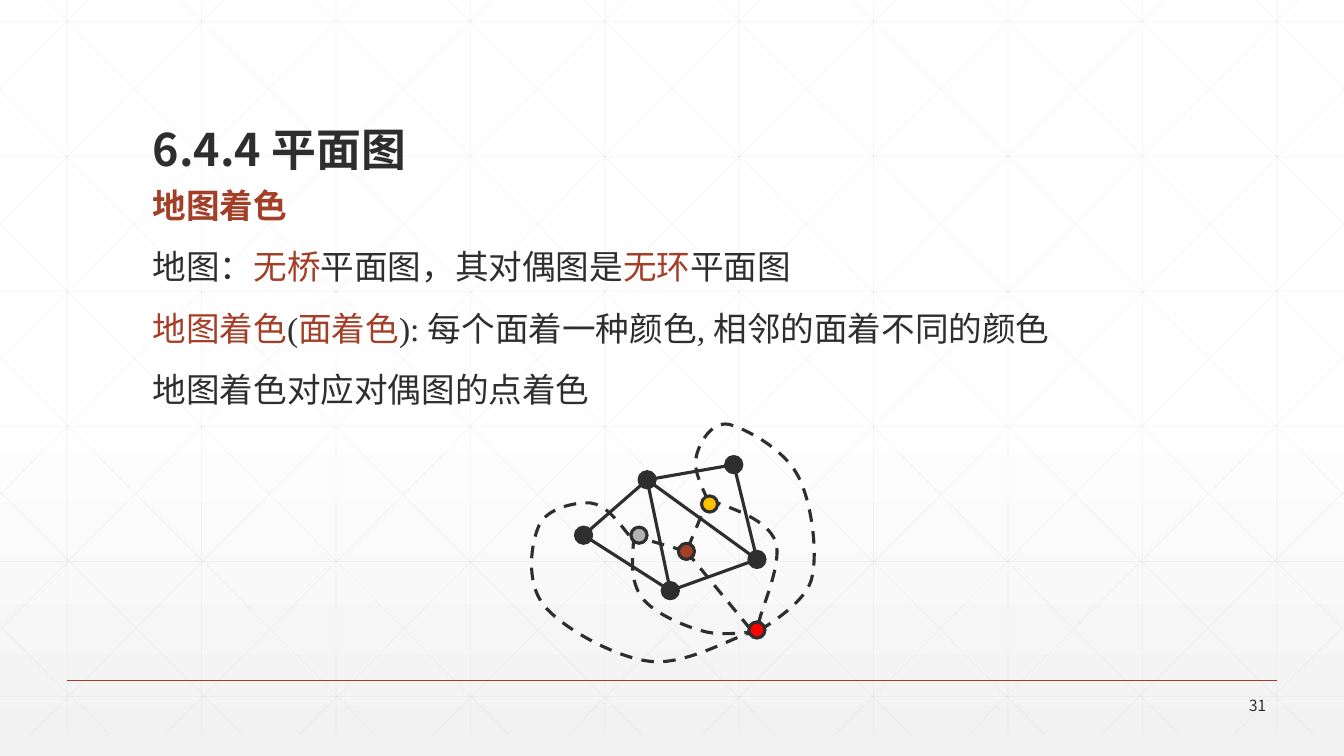
from lxml import etree
from pptx import Presentation
from pptx.dml.color import RGBColor
from pptx.enum.dml import MSO_LINE
from pptx.enum.shapes import MSO_CONNECTOR, MSO_SHAPE
from pptx.enum.text import MSO_ANCHOR, PP_ALIGN
from pptx.oxml import parse_xml
from pptx.oxml.ns import nsdecls, qn
from pptx.util import Inches, Pt

INK, RUST, PALE = "2D2E2D", "A43F27", "D9D9D9"
SANS, SERIF = "Noto Sans CJK SC", "Times New Roman"
WIDTH, TOP, BOTTOM = 40 / 3, -0.21, 7.29
STEP = 4 / 3
MARGIN = 17 / 12

VERTICES = {"top": (6.42, 4.76), "peak": (7.28, 4.61), "left": (5.79, 5.31),
            "bottom": (6.65, 5.86), "right": (7.51, 5.55)}
EDGES = [("top", "left"), ("top", "bottom"), ("left", "bottom"), ("top", "peak"),
         ("peak", "right"), ("bottom", "right"), ("top", "right")]
FACES = [(7.04, 5.0, "FFC000"), (6.81, 5.47, RUST), (6.34, 5.31, "B2B2B2"),
         (7.51, 6.25, "FF0000")]
DUAL_LINES = [((7.04, 4.92), (6.81, 5.47)), ((6.26, 5.31), (6.81, 5.47)),
              ((6.81, 5.47), (7.46, 6.26))]
DUAL_CURVES = [
    [(7.03, 4.96), (7.32, 5.06), (7.6, 5.16), (7.69, 5.36), (7.77, 5.55),
     (7.58, 5.98), (7.54, 6.13), (7.51, 6.28), (7.46, 6.26), (7.46, 6.26)],
    [(6.29, 5.32), (6.27, 5.55), (6.25, 5.77), (6.37, 5.93), (6.48, 6.08),
     (6.78, 6.21), (6.97, 6.26), (7.16, 6.32), (7.53, 6.26), (7.53, 6.26)],
    [(7.02, 4.96), (6.95, 4.8), (6.87, 4.64), (6.91, 4.52), (6.94, 4.39),
     (7.06, 4.18), (7.23, 4.21), (7.39, 4.25), (7.77, 4.45), (7.91, 4.71),
     (8.05, 4.96), (8.12, 5.49), (8.05, 5.75), (7.98, 6.01), (7.49, 6.28),
     (7.49, 6.28), (7.51, 6.28)],
    [(6.24, 5.31), (6.12, 5.16), (6.01, 5.01), (5.86, 4.99), (5.71, 4.98),
     (5.43, 5.04), (5.35, 5.21), (5.27, 5.38), (5.21, 5.78), (5.4, 6.01),
     (5.58, 6.23), (6.1, 6.52), (6.44, 6.56), (6.79, 6.61), (7.28, 6.32),
     (7.44, 6.28), (7.61, 6.23), (7.51, 6.26), (7.41, 6.29)],
]
BODY = [
    [("地图着色", RUST, True)],
    [("地图：", INK, False), ("无桥", RUST, False), ("平面图，其对偶图是", INK, False),
     ("无环", RUST, False), ("平面图", INK, False)],
    [("地图着色", RUST, False), ("(", INK, False), ("面着色", RUST, False),
     ("): 每个面着一种颜色, 相邻的面着不同的颜色", INK, False)],
    [("地图着色对应对偶图的点着色", INK, False)],
]


def rgb(value):
    return RGBColor.from_string(value)


def style_line(line, color, width, dashed=False):
    line.color.rgb = rgb(color)
    line.width = Pt(width)
    if dashed:
        line.dash_style = MSO_LINE.DASH


def add_line(shapes, start, end, color=INK, width=2.25, dashed=False, alpha=None):
    c = shapes.add_connector(MSO_CONNECTOR.STRAIGHT, *map(Inches, start + end))
    style_line(c.line, color, width, dashed)
    sp_pr = c._element.spPr
    if alpha:
        clr = sp_pr.find(".//" + qn("a:srgbClr"))
        etree.SubElement(clr, qn("a:alpha")).set("val", str(alpha * 1000))
    etree.SubElement(sp_pr, qn("a:effectLst"))


def add_dot(shapes, x, y, color, size=0.16):
    sp = shapes.add_shape(MSO_SHAPE.OVAL, Inches(x - size / 2), Inches(y - size / 2),
                          Inches(size), Inches(size))
    sp.shadow.inherit = False
    sp.fill.solid()
    sp.fill.fore_color.rgb = rgb(color)
    style_line(sp.line, INK, 2.25)


def add_curve(shapes, points):
    builder = shapes.build_freeform(*map(Inches, points[0]))
    builder.add_line_segments([tuple(map(Inches, pt)) for pt in points[1:]], close=False)
    sp = builder.convert_to_shape()
    segments = list(sp._element.iter(qn("a:lnTo")))
    for i in range(0, len(segments) - 2, 3):
        first, *others = segments[i:i + 3]
        first.tag = qn("a:cubicBezTo")
        for segment in others:
            first.append(segment[0])
            segment.getparent().remove(segment)
    sp.shadow.inherit = False
    sp.fill.background()
    style_line(sp.line, INK, 2.25, dashed=True)


def add_text(s, box, paragraphs, size, font, anchor=MSO_ANCHOR.TOP,
             align=PP_ALIGN.LEFT, spacing=0.9, before=0, hanging=0):
    tf = s.shapes.add_textbox(*map(Inches, box)).text_frame
    tf.word_wrap = True
    tf.vertical_anchor = anchor
    for i, runs in enumerate(paragraphs):
        p = tf.paragraphs[0] if i == 0 else tf.add_paragraph()
        p.alignment = align
        p.line_spacing = spacing
        if i:
            p.space_before = Pt(before)
        if hanging:
            p_pr = p._p.get_or_add_pPr()
            p_pr.set("marL", str(Inches(hanging)))
            p_pr.set("indent", str(Inches(-hanging)))
        for text, color, bold in runs:
            r = p.add_run()
            r.text = text
            r.font.size = Pt(size)
            r.font.bold = bold
            r.font.color.rgb = rgb(color)
            r.font.name = font
            etree.SubElement(r._r.get_or_add_rPr(), qn("a:ea")).set("typeface", SANS)


def set_background(s):
    stops = "".join(f'<a:gs pos="{pos * 1000}"><a:srgbClr val="{color}"/></a:gs>'
                    for pos, color in ((0, "FFFFFF"), (53, "FFFFFF"), (100, "F2F2F2")))
    s.background.fill.solid()
    solid = s._element.find(".//" + qn("p:bgPr") + "/" + qn("a:solidFill"))
    solid.getparent().replace(solid, parse_xml(
        f'<a:gradFill {nsdecls("a")} rotWithShape="1"><a:gsLst>{stops}</a:gsLst>'
        '<a:lin ang="5400000" scaled="0"/></a:gradFill>'))


def add_grid(s):
    shapes = s.shapes.add_group_shape().shapes
    lines = [((x, TOP), (x, BOTTOM)) for x in (STEP * (k + 0.5) for k in range(10))]
    lines += [((0, y), (WIDTH, y)) for y in (0.21 + 1.34 * k for k in range(6))]
    diagonals = []
    for k in range(10):
        x = 0.25 + STEP * k
        run = min(7.45, WIDTH - x)
        diagonals.append(((x, TOP), (x + run, TOP + run * 7.5 / 7.45)))
    diagonals += [((0, 0.89 + 1.33 * k), (6.37 - 1.32 * k, BOTTOM)) for k in range(5)]
    for (x1, y1), (x2, y2) in diagonals:
        lines += [((x1, y1), (x2, y2)), ((WIDTH - x1, y1), (WIDTH - x2, y2))]
    for start, end in lines:
        add_line(shapes, start, end, PALE, 0.5, alpha=25)


def add_graph(s):
    shapes = s.shapes.add_group_shape().shapes
    for a, b in EDGES:
        add_line(shapes, VERTICES[a], VERTICES[b])
    for x, y in VERTICES.values():
        add_dot(shapes, x, y, INK)
    for start, end in DUAL_LINES:
        add_line(shapes, start, end, dashed=True)
    for points in DUAL_CURVES:
        add_curve(shapes, points)
    for x, y, color in FACES:
        add_dot(shapes, x, y, color)


def main():
    prs = Presentation()
    prs.slide_width, prs.slide_height = Inches(WIDTH), Inches(7.5)
    s = prs.slides.add_slide(prs.slide_layouts[6])
    set_background(s)
    add_grid(s)
    add_line(s.shapes, (STEP / 2, 6.75), (WIDTH - STEP / 2, 6.75), RUST, 1)
    add_text(s, (MARGIN, 1.83, 10.5, 2.32), BODY, 24, SERIF, before=18, hanging=0.25)
    add_text(s, (11.66, 6.88, 1, 0.24), [[("31", INK, False)]], 11, SANS,
             anchor=MSO_ANCHOR.MIDDLE, align=PP_ALIGN.RIGHT, spacing=1.0)
    add_text(s, (MARGIN, 0.55, 10.5, 1.25), [[("6.4.4 平面图", INK, True)]], 32, SANS,
             anchor=MSO_ANCHOR.BOTTOM)
    add_graph(s)
    prs.save("out.pptx")


if __name__ == "__main__":
    main()
